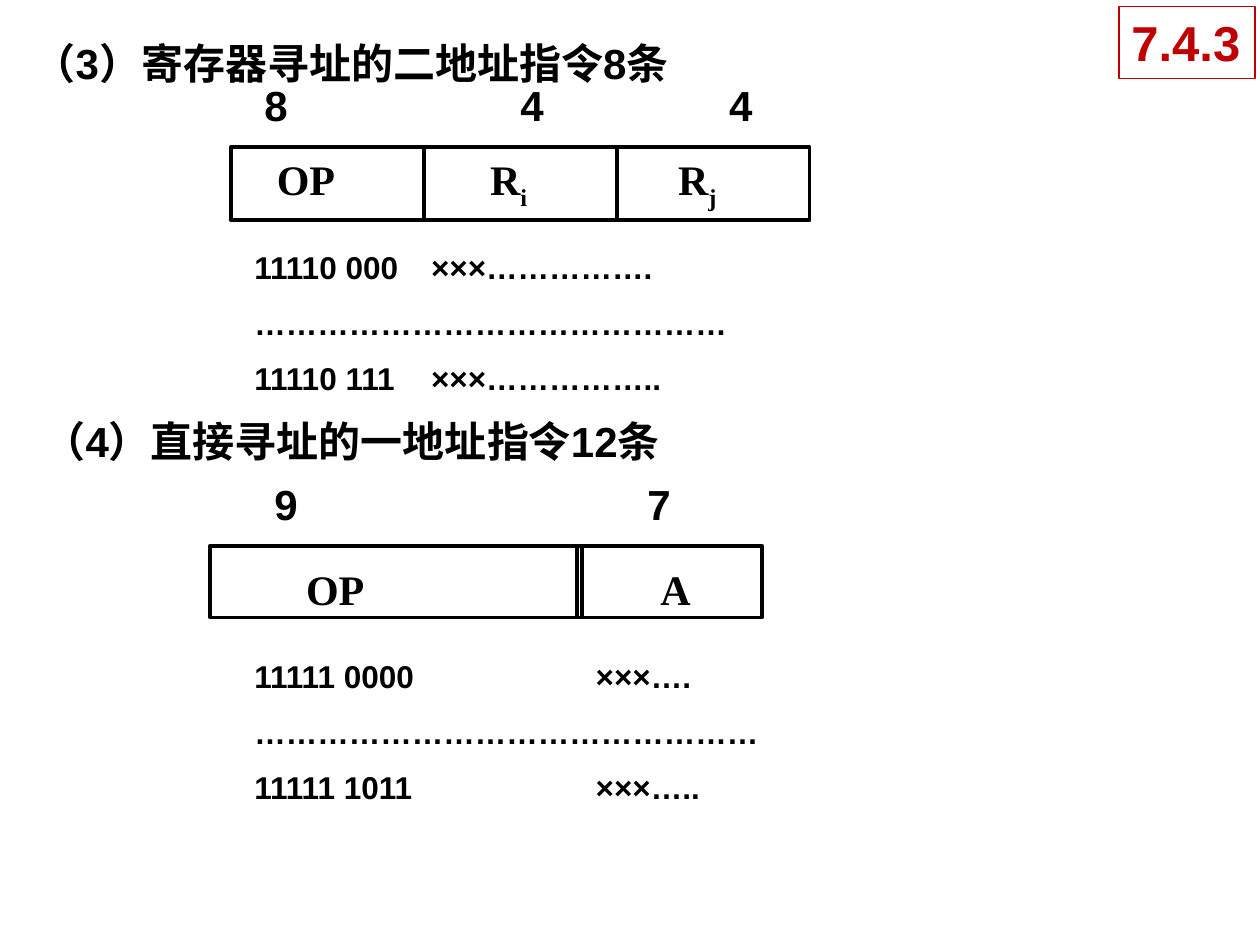
from dataclasses import dataclass

import pptx
import pptx.dml.color
import pptx.enum.shapes
import pptx.enum.text
import pptx.oxml.ns
import pptx.util
from lxml import etree

Cm = pptx.util.Cm
Pt = pptx.util.Pt
BLACK = "000000"
SANS = "Arial"
SERIF = "Times New Roman"


@dataclass
class Box:
    left: float
    top: float
    width: float
    height: float = 1.27

    def lengths(self) -> tuple:
        return tuple(Cm(value) for value in (self.left, self.top, self.width, self.height))


@dataclass
class Line:
    text: str
    subscript: str = ""
    first_number: int = 0


@dataclass
class Label:
    box: Box
    lines: list[Line]
    size: int = 24
    font: str = SANS
    color: str = BLACK
    tabs: tuple[float, ...] = ()
    wrap: bool = True


@dataclass
class Field:
    cell: Box
    label: Label


def rgb(color: str) -> pptx.dml.color.RGBColor:
    return pptx.dml.color.RGBColor.from_string(color)


def add_run(paragraph, text: str, label: Label, baseline: int = 0) -> None:
    run = paragraph.add_run()
    run.text = text
    run.font.name = label.font
    run.font.size = Pt(label.size)
    run.font.bold = True
    run.font.color.rgb = rgb(label.color)
    if baseline:
        run.font._element.set("baseline", str(baseline))


def set_layout(paragraph, line: Line, tabs: tuple[float, ...]) -> None:
    properties = paragraph._p.get_or_add_pPr()
    qn = pptx.oxml.ns.qn
    if line.first_number:
        properties.set("marL", "0")
        properties.set("indent", "0")
        etree.SubElement(properties, qn("a:buFont"), typeface="+mj-lt")
        etree.SubElement(properties, qn("a:buAutoNum"), type="arabicPlain",
                         startAt=str(line.first_number))
    if tabs:
        tab_list = etree.SubElement(properties, qn("a:tabLst"))
        for position in tabs:
            etree.SubElement(tab_list, qn("a:tab"), pos=str(int(Cm(position))), algn="l")


def write_text(shape, label: Label) -> None:
    frame = shape.text_frame
    frame.word_wrap = label.wrap
    frame.auto_size = pptx.enum.text.MSO_AUTO_SIZE.SHAPE_TO_FIT_TEXT
    frame.vertical_anchor = pptx.enum.text.MSO_ANCHOR.TOP
    for index, line in enumerate(label.lines):
        paragraph = frame.add_paragraph() if index else frame.paragraphs[0]
        set_layout(paragraph, line, label.tabs)
        paragraph.alignment = pptx.enum.text.PP_ALIGN.LEFT
        if index:
            paragraph.space_before = Pt(10)
        add_run(paragraph, line.text, label)
        if line.subscript:
            add_run(paragraph, line.subscript, label, -25000)


def add_label(shapes, label: Label) -> None:
    write_text(shapes.add_textbox(*label.box.lengths()), label)


def add_rectangle(shapes, box: Box, color: str, weight: float):
    rectangle = shapes.add_shape(pptx.enum.shapes.MSO_SHAPE.RECTANGLE, *box.lengths())
    rectangle.shadow.inherit = False
    rectangle.fill.background()
    rectangle.line.color.rgb = rgb(color)
    rectangle.line.width = Pt(weight)
    return rectangle


def add_format(shapes, fields: list[Field]) -> None:
    group = shapes.add_group_shape()
    for field in fields:
        add_rectangle(group.shapes, field.cell, BLACK, 2.25)
    for field in fields:
        add_label(group.shapes, field.label)


def field_label(box: Box, text: str, subscript: str = "", wrap: bool = False) -> Label:
    return Label(box, [Line(text, subscript)], font=SERIF, wrap=wrap)


def main() -> None:
    presentation = pptx.Presentation()
    presentation.slide_width = Cm(25.4)
    presentation.slide_height = Cm(19.05)
    slide = presentation.slides.add_slide(presentation.slide_layouts[6])
    shapes = slide.shapes

    register_labels = [
        field_label(Box(5.33, 2.97, 1.68), "OP"),
        field_label(Box(9.42, 2.97, 2.24), " R", "i", wrap=True),
        field_label(Box(13.21, 2.97, 1.52), " R", "j"),
    ]
    register_fields = [
        Field(Box(4.65 + 3.89 * index, 2.97, 3.89, 1.47), label)
        for index, label in enumerate(register_labels)
    ]
    direct_fields = [
        Field(Box(11.63, 11, 3.73, 1.45), field_label(Box(12.9, 11.23, 1.35), " A")),
        Field(Box(4.24, 11, 7.49, 1.45), field_label(Box(5.92, 11.23, 1.68), "OP")),
    ]
    register_codes = [
        Line("11110 000\t×××……………."),
        Line("………………………………………"),
        Line("11110 111\t×××…………….."),
    ]
    direct_codes = [
        Line(" 0000\t×××….", first_number=11111),
        Line("…………………………………………"),
        Line("11111 1011\t×××….."),
    ]

    add_label(shapes, Label(Box(0.43, 0.63, 23.5), [Line("（3）寄存器寻址的二地址指令8条")]))
    add_format(shapes, register_fields)
    add_label(shapes, Label(Box(5.08, 1.47, 12.07), [Line("8\t4\t4")], tabs=(5.16, 9.37)))
    add_label(shapes, Label(Box(0.63, 8.26, 23.5), [Line("（4）直接寻址的一地址指令12条")]))
    add_format(shapes, direct_fields)
    add_label(shapes, Label(Box(5.28, 9.53, 11.43), [Line("9\t7")], tabs=(7.52,)))
    add_label(shapes, Label(Box(4.88, 4.88, 12.27, 3.3), register_codes, size=18, tabs=(3.56,)))
    add_label(shapes, Label(Box(4.88, 13.13, 14.61, 3.3), direct_codes, size=18, tabs=(6.88,)))

    section = Label(Box(22.56, 0.13, 2.74, 1.45), [Line("7.4.3")],
                    size=28, color="C00000", wrap=False)
    badge = add_rectangle(shapes, section.box, section.color, 0.75)
    badge.fill.solid()
    badge.fill.fore_color.rgb = rgb("FFFFFF")
    write_text(badge, section)

    presentation.save("out.pptx")


if __name__ == "__main__":
    main()
